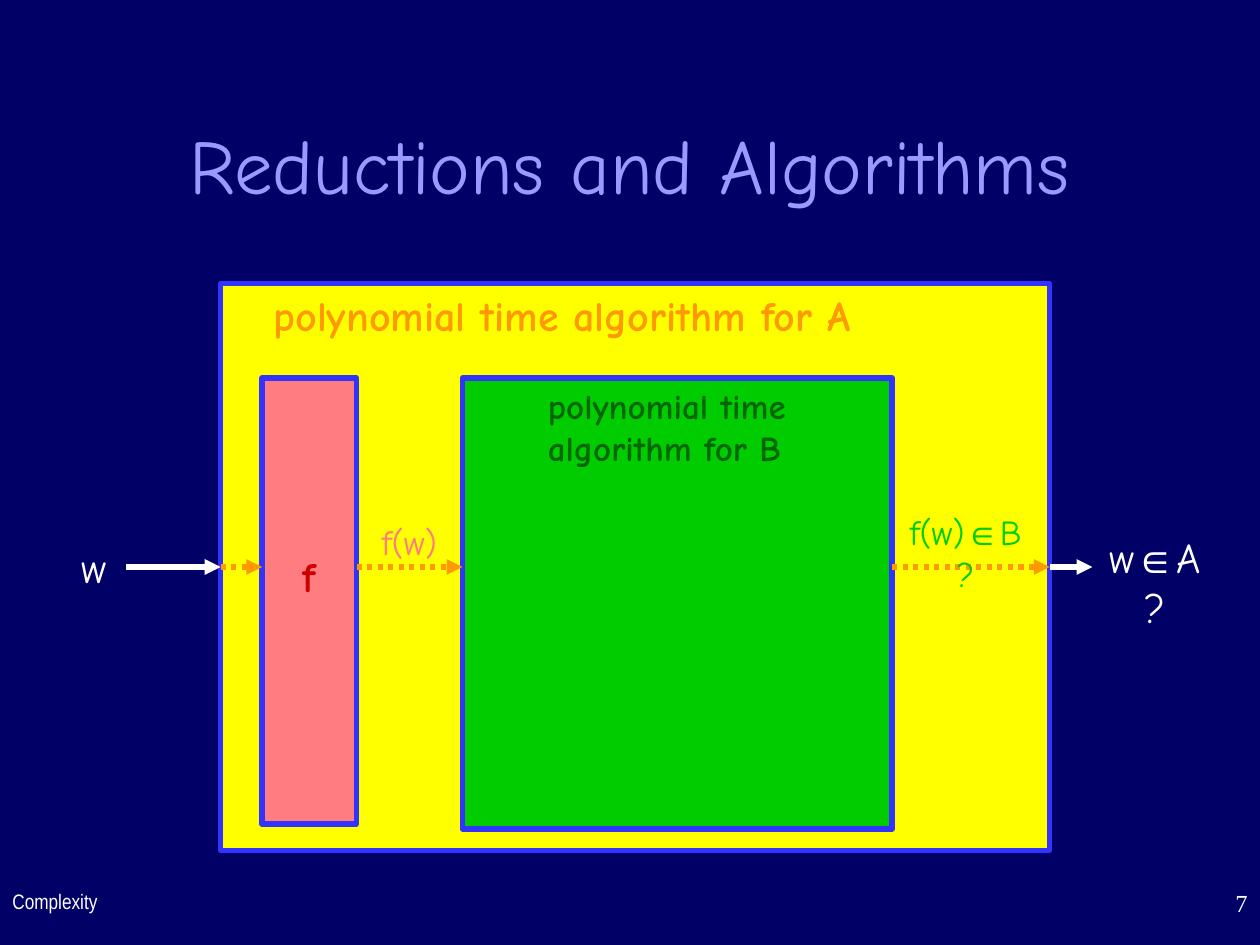
from dataclasses import dataclass

from lxml.etree import SubElement
from pptx import Presentation
from pptx.dml.color import RGBColor
from pptx.enum.dml import MSO_LINE
from pptx.enum.shapes import MSO_CONNECTOR, MSO_SHAPE
from pptx.enum.text import MSO_ANCHOR, MSO_AUTO_SIZE, PP_ALIGN
from pptx.oxml.ns import qn
from pptx.util import Inches, Pt


@dataclass(frozen=True)
class Theme:
    background: str = "000066"
    title: str = "9999FF"
    outline: str = "3333FF"
    outer: str = "FFFF00"
    reduction: str = "FF7C80"
    reduction_text: str = "CC0000"
    solver: str = "00CC00"
    solver_text: str = "006600"
    inner_flow: str = "FF9900"
    white: str = "FFFFFF"
    body_font: str = "Comic Neue"
    symbol_font: str = "Arial"
    footer_font: str = "Arial Narrow"
    number_font: str = "Times New Roman"
    title_size: int = 44
    large: int = 24
    medium: int = 20
    number_size: int = 14
    footer_size: int = 12
    line_width: int = 3


THEME = Theme()
FLOW_Y = 4.5
OUTER_LEFT, OUTER_RIGHT = 1.75, 8.33
REDUCTION_LEFT, REDUCTION_RIGHT = 2.08, 2.83
SOLVER_LEFT, SOLVER_RIGHT = 3.67, 7.08


def color(value):
    return RGBColor.from_string(value)


def write(frame, text, size, ink, font=THEME.body_font, bold=False, align=PP_ALIGN.CENTER):
    frame.word_wrap = True
    para = frame.paragraphs[0]
    para.alignment = align
    before, symbol, after = text.partition("∈")
    for part, face in ((before, font), (symbol, THEME.symbol_font), (after, font)):
        if part:
            span = para.add_run()
            span.text = part
            span.font.name = face
            span.font.size = Pt(size)
            span.font.bold = bold
            span.font.color.rgb = color(ink)


def add_label(page, place, text, size, ink, grow=True, **style):
    box = page.shapes.add_textbox(*map(Inches, place))
    write(box.text_frame, text, size, ink, **style)
    box.text_frame.auto_size = MSO_AUTO_SIZE.SHAPE_TO_FIT_TEXT if grow else MSO_AUTO_SIZE.NONE
    return box


def add_block(page, left, top, right, height, fill):
    block = page.shapes.add_shape(
        MSO_SHAPE.RECTANGLE, Inches(left), Inches(top), Inches(right - left), Inches(height)
    )
    block.shadow.inherit = False
    block.fill.solid()
    block.fill.fore_color.rgb = color(fill)
    block.line.color.rgb = color(THEME.outline)
    block.line.width = Pt(THEME.line_width)
    return block


def add_arrow(page, start, end, ink, dotted=False):
    arrow = page.shapes.add_connector(
        MSO_CONNECTOR.STRAIGHT, Inches(start), Inches(FLOW_Y), Inches(end), Inches(FLOW_Y)
    )
    arrow.line.color.rgb = color(ink)
    arrow.line.width = Pt(THEME.line_width)
    if dotted:
        arrow.line.dash_style = MSO_LINE.ROUND_DOT
    SubElement(arrow.line._get_or_add_ln(), qn("a:tailEnd"), type="triangle")
    SubElement(arrow._element.spPr, qn("a:effectLst"))


def add_blocks(page):
    add_block(page, OUTER_LEFT, 2.25, OUTER_RIGHT, 4.5, THEME.outer)
    reduction = add_block(page, REDUCTION_LEFT, 3, REDUCTION_RIGHT, 3.54, THEME.reduction)
    reduction.text_frame.vertical_anchor = MSO_ANCHOR.MIDDLE
    reduction.text_frame.margin_bottom = Inches(0.45)
    write(reduction.text_frame, "f", THEME.large, THEME.reduction_text, bold=True)
    add_block(page, SOLVER_LEFT, 3, SOLVER_RIGHT, 3.58, THEME.solver)


def add_flow(page):
    add_arrow(page, 1, OUTER_LEFT, THEME.white)
    add_arrow(page, OUTER_RIGHT, 8.67, THEME.white)
    for start, end in (
        (OUTER_LEFT, REDUCTION_LEFT),
        (REDUCTION_RIGHT, SOLVER_LEFT),
        (SOLVER_RIGHT, OUTER_RIGHT),
    ):
        add_arrow(page, start, end, THEME.inner_flow, dotted=True)


def add_labels(page):
    add_label(page, (1.75, 2.25, 5.42, 0.5), "polynomial time algorithm for A",
              THEME.large, THEME.inner_flow, bold=True)
    add_label(page, (4.25, 3, 2.42, 0.77), "polynomial time algorithm for B",
              THEME.medium, THEME.solver_text, bold=True, align=PP_ALIGN.LEFT)
    add_label(page, (0.5, 4.25, 0.5, 0.5), "w", THEME.large, THEME.white)
    add_label(page, (7.08, 4, 1.17, 0.44), "f(w)∈B?", THEME.medium, THEME.solver)
    add_label(page, (2.75, 4.08, 1, 0.44), "f(w)", THEME.medium, THEME.reduction)
    add_label(page, (8.67, 4.17, 1, 0.5), "w∈A?", THEME.large, THEME.white)


def add_footer(page):
    add_label(page, (0, 7, 3.17, 0.5), "Complexity", THEME.footer_size, THEME.white,
              grow=False, font=THEME.footer_font, align=PP_ALIGN.LEFT)
    add_label(page, (7.92, 7, 2.08, 0.5), "7", THEME.number_size, THEME.white,
              grow=False, font=THEME.number_font, align=PP_ALIGN.RIGHT)


def main():
    deck = Presentation()
    deck.slide_width, deck.slide_height = Inches(10), Inches(7.5)
    page = deck.slides.add_slide(deck.slide_layouts[6])
    page.background.fill.solid()
    page.background.fill.fore_color.rgb = color(THEME.background)
    title = add_label(page, (0.75, 0.67, 8.5, 1.25), "Reductions and Algorithms",
                      THEME.title_size, THEME.title, grow=False)
    title.text_frame.vertical_anchor = MSO_ANCHOR.MIDDLE
    add_blocks(page)
    add_flow(page)
    add_labels(page)
    add_footer(page)
    deck.save("out.pptx")


if __name__ == "__main__":
    main()
